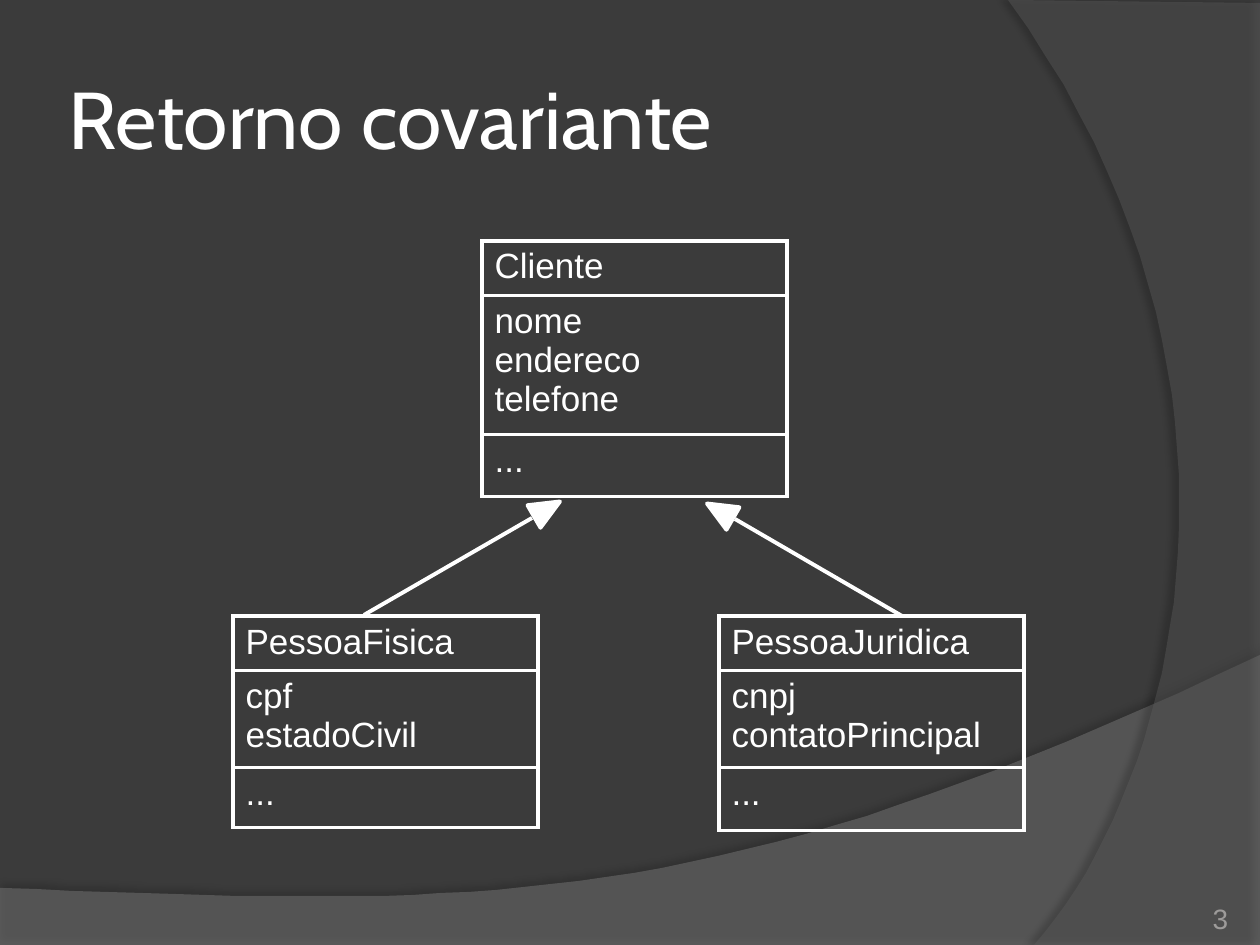
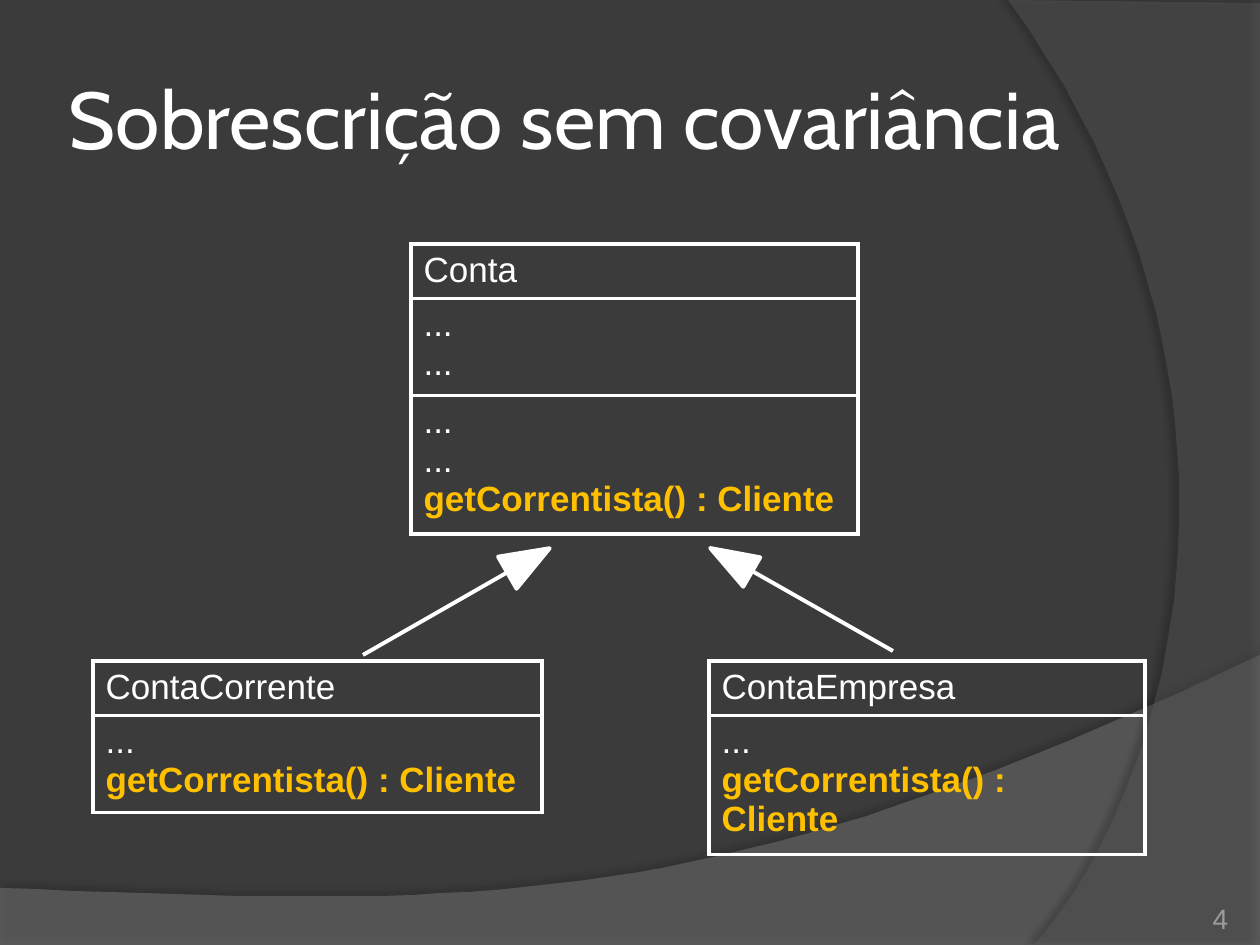
from lxml.etree import SubElement
from pptx import Presentation
from pptx.dml.color import RGBColor
from pptx.enum.shapes import MSO_CONNECTOR, MSO_SHAPE
from pptx.enum.text import MSO_ANCHOR, PP_ALIGN
from pptx.oxml import parse_xml
from pptx.oxml.ns import nsdecls, qn
from pptx.util import Emu, Pt

SCALE = 914400 / 126  # EMU in one px
WHITE, GOLD, GREY, DARK = "FFFFFF", "FFC000", "9D9B9A", "3B3B3B"
STROKE = Pt(2.25)
CURVE_STEPS = 40
rgb = RGBColor.from_string


def px(*lengths):
    """Turn px lengths into a list of EMU."""
    return [Emu(round(length * SCALE)) for length in lengths]


def style(run, size, color=WHITE, font="Arial", bold=False):
    run.font.size = Pt(size)
    run.font.name = font
    run.font.bold = bold
    run.font.color.rgb = rgb(color)


# Corners, the last of which starts a curve; then the curve's two controls and end.
# Then fill, opacity %, and shadow opacity %, distance in points, direction in degrees.
SWOOSHES = [
    ([(0, 888), (0, 945), (1260, 945), (1260, 655)],
     [(704, 919), (493, 906), (0, 888)], "7F7F7F", 45, 35, 3.5, 270),
    ([(1260, 3), (1260, 945), (1034, 945)],
     [(1178, 780), (1283, 378), (1008, 0)], "5E5E5E", 40, 45, 4, 180),
]

GETTER = "getCorrentista() : Cliente"

# Classes: left, top, width, then (height, lines) for each compartment.
# Arrows: triangle box, its rotation, line from, line to.
SLIDES = [
    (3, "Retorno covariante",
     [(482, 241, 305, [(52, ["Cliente"]),
                       (129, ["nome", "endereco", "telefone"]),
                       (62, ["..."])]),
      (719, 616, 305, [(51, ["PessoaJuridica"]),
                       (91, ["cnpj", "contatoPrincipal"]),
                       (63, ["..."])]),
      (233, 616, 305, [(51, ["PessoaFisica"]),
                       (91, ["cpf", "estadoCivil"]),
                       (60, ["..."])])],
     [((534, 494, 26, 30), 60, (532, 518), (364, 615)),
      ((707, 496, 26, 30), 300, (735, 519), (902, 616))]),
    (4, "Sobrescrição sem covariância",
     [(411, 244, 447, [(52, ["Conta"]),
                       (95, ["...", "..."]),
                       (130, ["...", "...", GETTER])]),
      (709, 661, 436, [(52, ["ContaEmpresa"]), (91, ["...", GETTER])]),
      (93, 661, 449, [(52, ["ContaCorrente"]), (91, ["...", GETTER])])],
     [((714, 536, 34, 48), 300, (752, 571), (893, 651)),
      ((510, 536, 37, 49), 60, (508, 572), (363, 655))]),
]

prs = Presentation()
prs.slide_width, prs.slide_height = px(1260, 945)
backdrop = prs.slide_master.background.fill
backdrop.solid()
backdrop.fore_color.rgb = rgb(DARK)

for number, heading, classes, arrows in SLIDES:
    slide = prs.slides.add_slide(prs.slide_layouts[6])
    shapes = slide.shapes

    for corners, (control_1, control_2, end), color, opacity, shade, distance, angle in SWOOSHES:
        curve = []
        for step in range(1, CURVE_STEPS + 1):
            t = step / CURVE_STEPS
            weights = (1 - t) ** 3, 3 * t * (1 - t) ** 2, 3 * t * t * (1 - t), t ** 3
            anchors = corners[-1], control_1, control_2, end
            curve.append(tuple(sum(w * a[axis] for w, a in zip(weights, anchors))
                               for axis in (0, 1)))
        builder = shapes.build_freeform(*corners[0], scale=SCALE)
        builder.add_line_segments(corners[1:] + curve, close=True)
        swoosh = builder.convert_to_shape()
        swoosh.fill.solid()
        swoosh.fill.fore_color.rgb = rgb(color)
        swoosh.line.fill.background()
        swoosh.shadow.inherit = False
        properties = swoosh.fill._xPr
        tint = properties.find(qn("a:solidFill")).find(qn("a:srgbClr"))
        SubElement(tint, qn("a:alpha"), val=str(opacity * 1000))
        properties.find(qn("a:effectLst")).append(parse_xml(
            f'<a:outerShdw {nsdecls("a")} blurRad="{Pt(4)}" dist="{Pt(distance)}" '
            f'dir="{angle * 60000}" rotWithShape="0"><a:srgbClr val="000000">'
            f'<a:alpha val="{shade * 1000}"/></a:srgbClr></a:outerShdw>'))

    title = shapes.add_textbox(*px(63, 38, 1148, 158)).text_frame
    title.word_wrap = True
    title.vertical_anchor = MSO_ANCHOR.MIDDLE
    title.margin_left, title.margin_top, title.margin_right, title.margin_bottom = px(6, 6, 6, 6)
    run = title.paragraphs[0].add_run()
    run.text = heading
    style(run, 46, font="Cabin")

    for left, top, width, compartments in classes:
        height = sum(row_height for row_height, _ in compartments)
        diagram = shapes.add_table(len(compartments), 1, *px(left, top, width, height)).table
        diagram.first_row = diagram.horz_banding = False
        for row, (row_height, lines) in zip(diagram.rows, compartments):
            row.height, = px(row_height)
            cell = row.cells[0]
            cell_properties = cell._tc.get_or_add_tcPr()
            for side in "LRTB":
                cell_properties.append(parse_xml(
                    f'<a:ln{side} {nsdecls("a")} w="{STROKE}"><a:solidFill>'
                    f'<a:srgbClr val="{WHITE}"/></a:solidFill></a:ln{side}>'))
            cell.fill.background()
            paragraph = cell.text_frame.paragraphs[0]
            for index, line in enumerate(lines):
                if index:
                    paragraph.add_line_break()
                run = paragraph.add_run()
                run.text = line
                changed = line == GETTER
                style(run, 20, GOLD if changed else WHITE, bold=changed)

    for head_box, rotation, start, end in arrows:
        head = shapes.add_shape(MSO_SHAPE.ISOSCELES_TRIANGLE, *px(*head_box))
        head.rotation = rotation
        head.shadow.inherit = False
        head.fill.solid()
        head.fill.fore_color.rgb = rgb(WHITE)
        shaft = shapes.add_connector(MSO_CONNECTOR.STRAIGHT, *px(*start, *end))
        for part in (head, shaft):
            part.line.color.rgb = rgb(WHITE)
            part.line.width = STROKE
        SubElement(shaft._element.spPr, qn("a:effectLst"))

    page_number = shapes.add_textbox(*px(1124, 885, 104, 50)).text_frame
    page_number.word_wrap = True
    page_number.vertical_anchor = MSO_ANCHOR.BOTTOM
    page_number.margin_left = page_number.margin_right = 0
    page_number.margin_top = page_number.margin_bottom = 0
    page_number.paragraphs[0].alignment = PP_ALIGN.RIGHT
    run = page_number.paragraphs[0].add_run()
    run.text = str(number)
    style(run, 16, GREY)

prs.save("out.pptx")
